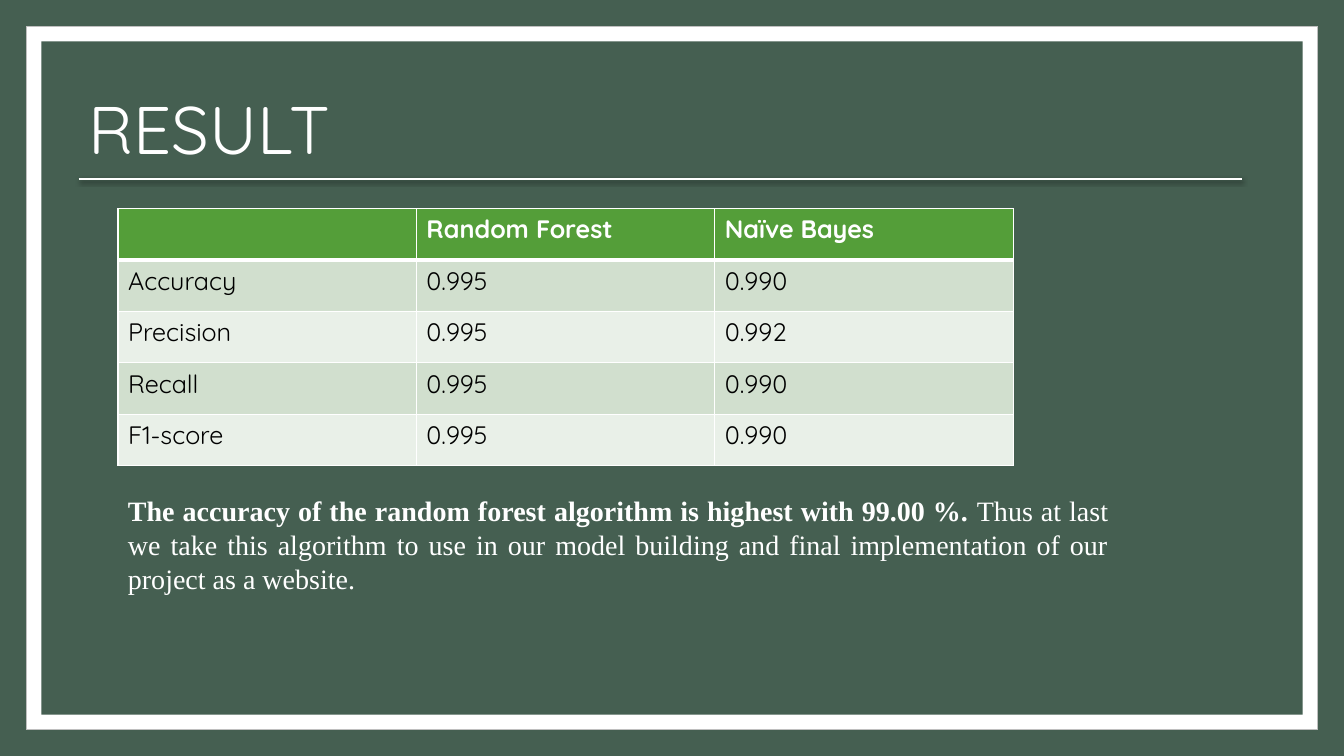
from lxml.etree import SubElement
from pptx import Presentation
from pptx.dml.color import RGBColor
from pptx.enum.shapes import MSO_CONNECTOR as Connector, MSO_SHAPE as Shape
from pptx.enum.text import MSO_ANCHOR as Anchor, PP_ALIGN as Align
from pptx.oxml.ns import qn
from pptx.util import Inches, Pt

WIDTH, HEIGHT = 13.33, 7.5
GREEN, WHITE, BLACK, GREY = "455F51", "FFFFFF", "000000", "BFBFBF"
HEADER_FILL, BAND_FILLS = "549E39", ("D1DFCE", "E9F0E8")
HEADING_FONT, BODY_FONT = "Quicksand", "Times New Roman"

TITLE = "RESULT"
SCORES = [
    ("", "Random Forest", "Naïve Bayes"),
    ("Accuracy", "0.995", "0.990"),
    ("Precision", "0.995", "0.992"),
    ("Recall", "0.995", "0.990"),
    ("F1-score", "0.995", "0.990"),
]
CONCLUSION = [
    ("The accuracy of the random forest algorithm is highest with 99.00 %. ", True),
    ("Thus at last we take this algorithm to use in our model building and final "
     "implementation of our project as a website.", False),
]

FRAME_MARGIN, PANEL_MARGIN = 0.26, 0.41
TITLE_LEFT, RULE_RIGHT, RULE_TOP = 0.78, 12.32, 1.78
CONTENT_LEFT, TABLE_TOP = 1.17, 2.07
COLUMN_WIDTH, ROW_HEIGHT = 2.96, 0.51


def color(value):
    return RGBColor.from_string(value)


def fill_solid(item, value):
    item.fill.solid()
    item.fill.fore_color.rgb = color(value)


def add_text(paragraph, text, size=18, font=HEADING_FONT, ink=WHITE, bold=False):
    run = paragraph.add_run()
    run.text = text
    run.font.size = Pt(size)
    run.font.name = font
    run.font.bold = bold
    run.font.color.rgb = color(ink)


def add_box(slide, left, top, width, height):
    """Add an empty wrapping text box and return its text frame."""
    box = slide.shapes.add_textbox(*map(Inches, (left, top, width, height)))
    box.text_frame.word_wrap = True
    return box.text_frame


def add_panel(slide, margin, fill, outline=None):
    """Add a rectangle set in from every slide edge by the same margin."""
    panel = slide.shapes.add_shape(
        Shape.RECTANGLE, Inches(margin), Inches(margin),
        Inches(WIDTH - 2 * margin), Inches(HEIGHT - 2 * margin))
    panel.shadow.inherit = False
    fill_solid(panel, fill)
    if outline:
        panel.line.color.rgb = color(outline)
        panel.line.width = Pt(0.5)
    else:
        panel.line.fill.background()


def add_rule(slide):
    rule = slide.shapes.add_connector(
        Connector.STRAIGHT, Inches(TITLE_LEFT), Inches(RULE_TOP),
        Inches(RULE_RIGHT), Inches(RULE_TOP))
    rule.line.color.rgb = color(WHITE)
    rule.line.width = Pt(1.5)
    effects = SubElement(rule._element.spPr, qn("a:effectLst"))
    shadow = SubElement(effects, qn("a:outerShdw"), blurRad=str(Pt(3)),
                        dist=str(Pt(1)), dir="5400000", rotWithShape="0")
    shade = SubElement(shadow, qn("a:srgbClr"), val=BLACK)
    SubElement(shade, qn("a:alpha"), val="63000")


def set_borders(cell, bottom):
    properties = cell._tc.get_or_add_tcPr()
    widths = {"lnL": 1, "lnR": 1, "lnT": 1, "lnB": bottom}
    for position, (side, width) in enumerate(widths.items()):
        line = SubElement(properties, qn(f"a:{side}"), w=str(Pt(width)))
        properties.insert(position, line)
        solid = SubElement(line, qn("a:solidFill"))
        SubElement(solid, qn("a:srgbClr"), val=WHITE)


def add_scores(slide):
    rows, columns = len(SCORES), len(SCORES[0])
    table = slide.shapes.add_table(
        rows, columns, Inches(CONTENT_LEFT), Inches(TABLE_TOP),
        Inches(columns * COLUMN_WIDTH), Inches(rows * ROW_HEIGHT)).table
    for row, values in enumerate(SCORES):
        header = row == 0
        fill = HEADER_FILL if header else BAND_FILLS[(row - 1) % 2]
        for column, value in enumerate(values):
            cell = table.cell(row, column)
            fill_solid(cell, fill)
            set_borders(cell, bottom=3 if header else 1)
            if value:
                add_text(cell.text_frame.paragraphs[0], value,
                         ink=WHITE if header else BLACK, bold=header)


def main():
    presentation = Presentation()
    presentation.slide_width = Inches(WIDTH)
    presentation.slide_height = Inches(HEIGHT)
    slide = presentation.slides.add_slide(presentation.slide_layouts[6])
    fill_solid(slide.background, GREEN)
    add_panel(slide, FRAME_MARGIN, WHITE, GREY)
    add_panel(slide, PANEL_MARGIN, GREEN)

    title = add_box(slide, TITLE_LEFT, 0.57, 11, 1.5)
    title.vertical_anchor = Anchor.MIDDLE
    title.paragraphs[0].line_spacing = 0.9
    add_text(title.paragraphs[0], TITLE, size=48)

    add_rule(slide)
    add_scores(slide)

    conclusion = add_box(slide, CONTENT_LEFT, 4.85, 9.92, 1.41).paragraphs[0]
    conclusion.alignment = Align.JUSTIFY
    for text, bold in CONCLUSION:
        add_text(conclusion, text, size=20, font=BODY_FONT, bold=bold)

    presentation.save("out.pptx")


if __name__ == "__main__":
    main()
